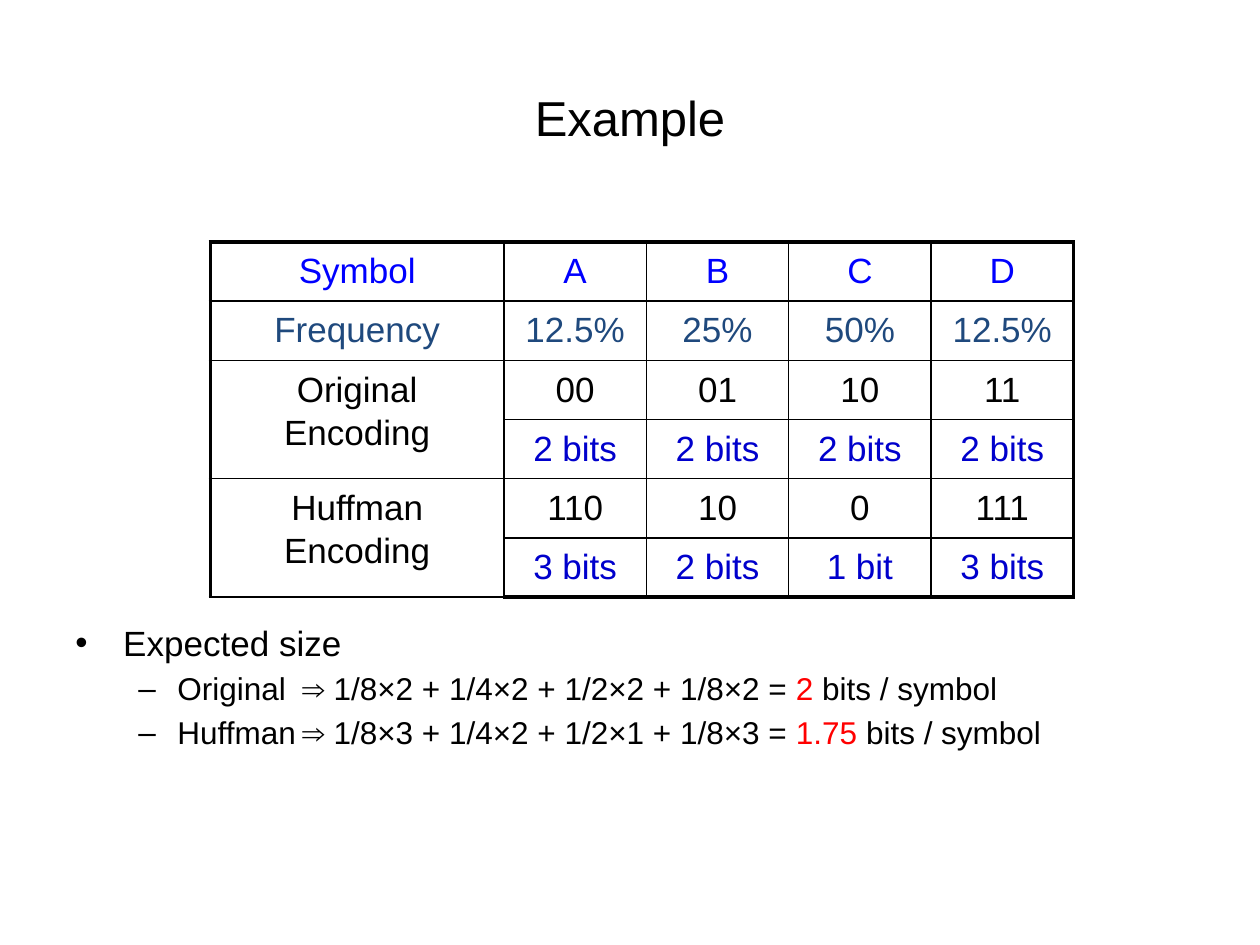
import pptx
import pptx.util
import pptx.dml.color
import pptx.enum.text
import pptx.oxml
import pptx.oxml.ns
from lxml import etree

Inches, Pt = pptx.util.Inches, pptx.util.Pt
CENTER = pptx.enum.text.PP_ALIGN.CENTER
MIDDLE = pptx.enum.text.MSO_ANCHOR.MIDDLE
FONT = "Arial"
BLACK, RED = "000000", "FF0000"

# Content
TITLE = "Example"
# Each row: text colour, then cells; None continues the cell above
ROWS = [
    ("0000FF", ["Symbol", "A", "B", "C", "D"]),
    ("1F497D", ["Frequency", "12.5%", "25%", "50%", "12.5%"]),
    (BLACK, ["Original Encoding", "00", "01", "10", "11"]),
    ("0000CC", [None, "2 bits", "2 bits", "2 bits", "2 bits"]),
    (BLACK, ["Huffman Encoding", "110", "10", "0", "111"]),
    ("0000CC", [None, "3 bits", "2 bits", "1 bit", "3 bits"]),
]
HEADING = "Expected size"
SIZES = [
    ("Original\t⇒ 1/8×2 + 1/4×2 + 1/2×2 + 1/8×2 = ", "2", " bits / symbol"),
    ("Huffman\t⇒ 1/8×3 + 1/4×2 + 1/2×1 + 1/8×3 = ", "1.75", " bits / symbol"),
]

# Layout in inches
SLIDE_WIDTH, SLIDE_HEIGHT = 10, 7.5
MARGIN = 0.5
CONTENT_WIDTH = SLIDE_WIDTH - 2 * MARGIN
TABLE_LEFT, TABLE_TOP = 1.67, 1.92
LABEL_WIDTH, VALUE_WIDTH, ROW_HEIGHT = 2.33, 1.13, 0.47
LIST_TOP, LIST_HEIGHT = 4.88, 1.82
ARROW_TAB = 1.8


def color(value):
    return pptx.dml.color.RGBColor.from_string(value)


def format_font(font, size, value=BLACK):
    font.name, font.size = FONT, Pt(size)
    font.color.rgb = color(value)


def add_border(cell, side, width):
    line = etree.SubElement(cell._tc.get_or_add_tcPr(), pptx.oxml.ns.qn(f"a:ln{side}"),
                            w=str(Pt(width)))
    fill = etree.SubElement(line, pptx.oxml.ns.qn("a:solidFill"))
    etree.SubElement(fill, pptx.oxml.ns.qn("a:srgbClr"), val=BLACK)


def add_bullet(paragraph, character, left, hanging, tab=None):
    properties = paragraph._p.get_or_add_pPr()
    properties.set("marL", str(Inches(left)))
    properties.set("indent", str(-Inches(hanging)))
    etree.SubElement(properties, pptx.oxml.ns.qn("a:buFont"), typeface=FONT)
    etree.SubElement(properties, pptx.oxml.ns.qn("a:buChar"), char=character)
    if tab:
        tabs = etree.SubElement(properties, pptx.oxml.ns.qn("a:tabLst"))
        etree.SubElement(tabs, pptx.oxml.ns.qn("a:tab"), pos=str(Inches(tab)), algn="l")


def add_title(slide):
    title = slide.shapes.title
    title.left, title.top = Inches(MARGIN), Inches(0.3)
    title.width, title.height = Inches(CONTENT_WIDTH), Inches(1.25)
    title.text_frame.text = TITLE
    title.text_frame.vertical_anchor = MIDDLE
    paragraph = title.text_frame.paragraphs[0]
    paragraph.alignment = CENTER
    format_font(paragraph.font, 28)


def add_encoding_table(slide):
    row_count, column_count = len(ROWS), len(ROWS[0][1])
    widths = [LABEL_WIDTH] + [VALUE_WIDTH] * (column_count - 1)
    table = slide.shapes.add_table(
        row_count, column_count, Inches(TABLE_LEFT), Inches(TABLE_TOP),
        Inches(sum(widths)), Inches(ROW_HEIGHT * row_count)).table
    table.first_row = table.horz_banding = False
    for column, width in zip(table.columns, widths):
        column.width = Inches(width)
    for row_index, (text_color, texts) in enumerate(ROWS):
        table.rows[row_index].height = Inches(ROW_HEIGHT)
        for column_index, text in enumerate(texts):
            cell = table.cell(row_index, column_index)
            # Thick lines on the outer edge, thin lines inside
            outer = {"L": column_index == 0, "R": column_index == column_count - 1,
                     "T": row_index == 0, "B": row_index == row_count - 1}
            for side, is_outer in outer.items():
                add_border(cell, side, 2.25 if is_outer else 1)
            cell.fill.background()
            if text is None:
                table.cell(row_index - 1, column_index).merge(cell)
                continue
            cell.text = text
            paragraph = cell.text_frame.paragraphs[0]
            paragraph.alignment = CENTER
            paragraph.line_spacing = 1.1
            format_font(paragraph.font, 20, text_color)


def add_expected_sizes(slide):
    box = slide.shapes.add_textbox(Inches(MARGIN), Inches(LIST_TOP),
                                   Inches(CONTENT_WIDTH), Inches(LIST_HEIGHT))
    frame = box.text_frame
    frame.word_wrap = True
    heading = frame.paragraphs[0]
    heading.text = HEADING
    add_bullet(heading, "•", 0.38, 0.38)
    format_font(heading.font, 20)
    for parts in SIZES:
        paragraph = frame.add_paragraph()
        paragraph.level = 1
        add_bullet(paragraph, "–", 0.81, 0.31, ARROW_TAB)
        paragraph.space_before = Pt(3.6)
        paragraph.font.name, paragraph.font.size = FONT, Pt(18)
        for text, text_color in zip(parts, (BLACK, RED, BLACK)):
            run = paragraph.add_run()
            run.text = text
            run.font.color.rgb = color(text_color)


def main():
    presentation = pptx.Presentation()
    presentation.slide_width = Inches(SLIDE_WIDTH)
    presentation.slide_height = Inches(SLIDE_HEIGHT)
    slide = presentation.slides.add_slide(presentation.slide_layouts[5])
    add_title(slide)
    add_encoding_table(slide)
    add_expected_sizes(slide)
    presentation.save("out.pptx")


if __name__ == "__main__":
    main()
